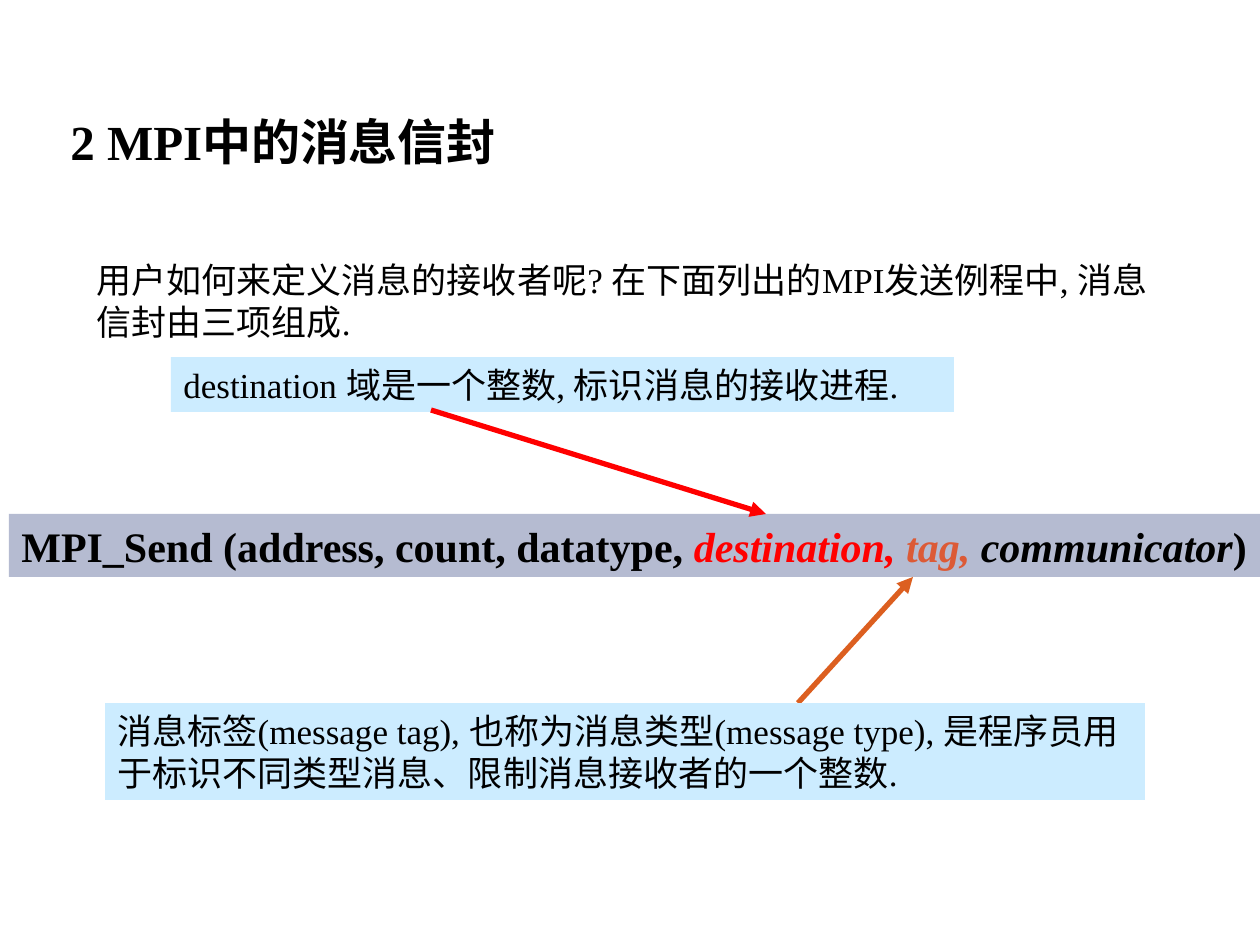
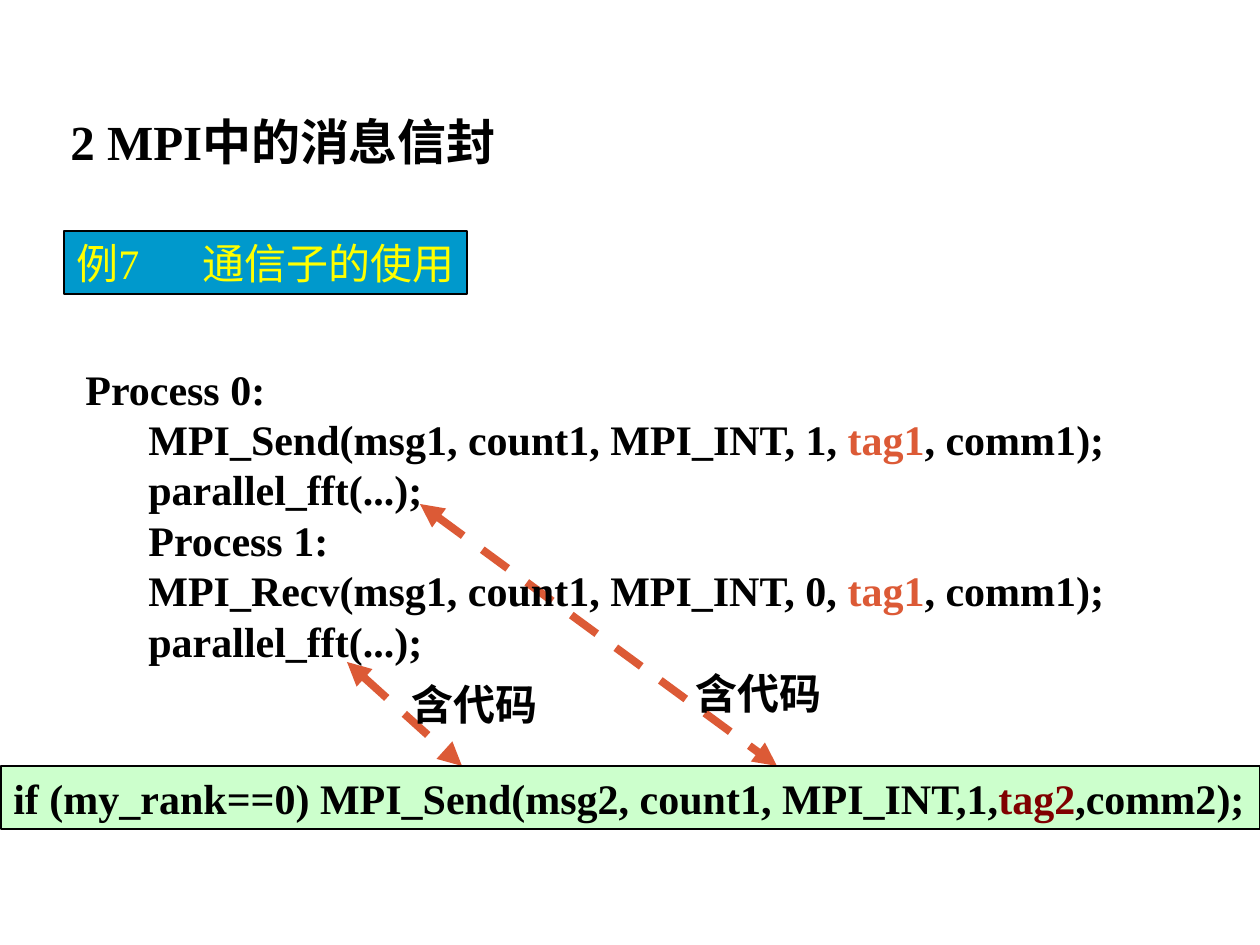
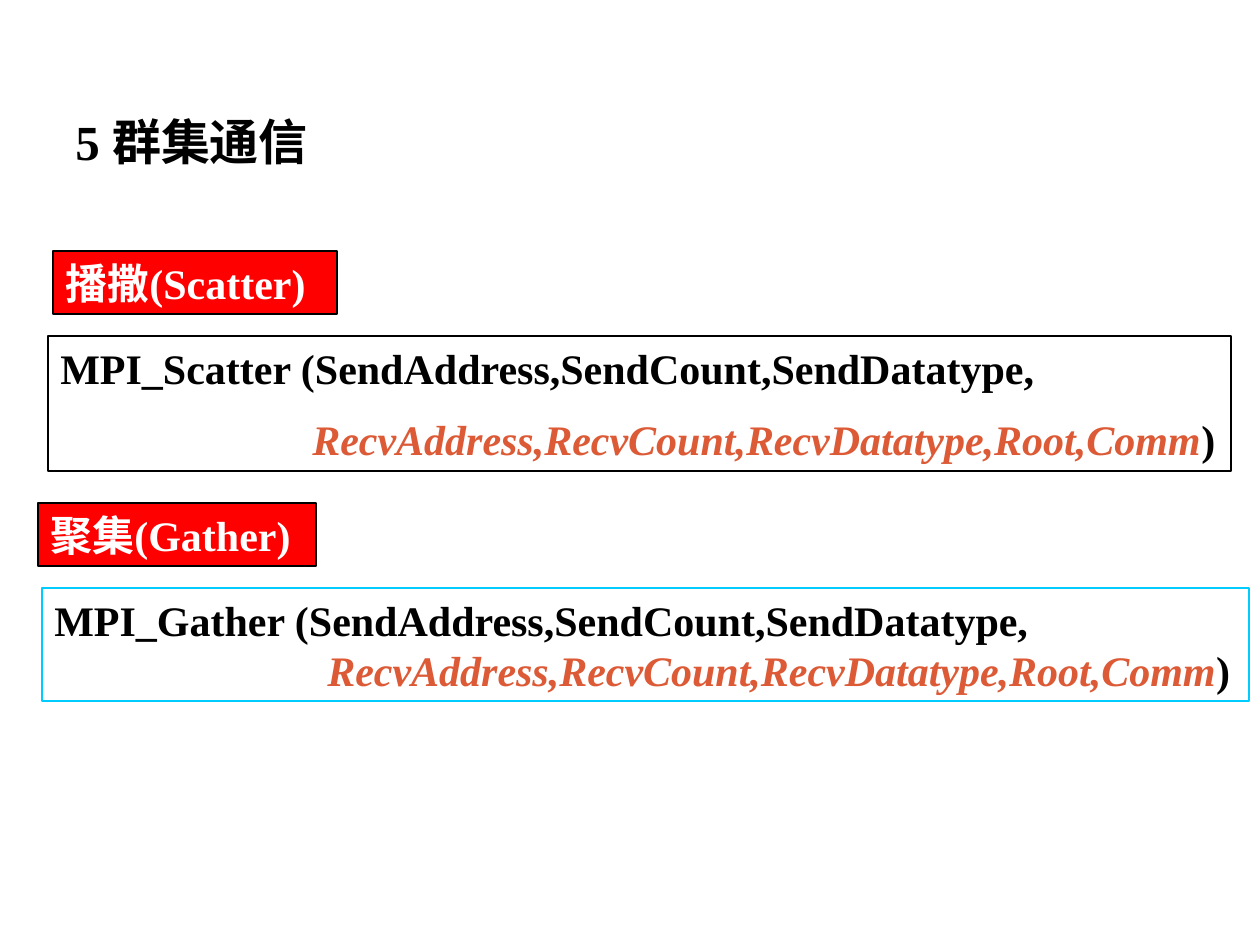
import dataclasses

import pptx
import pptx.dml.color
import pptx.enum.dml
import pptx.enum.shapes
import pptx.enum.text
import pptx.oxml.ns
import pptx.util
from lxml import etree

PX = 914400 / 126


@dataclasses.dataclass(frozen=True)
class Theme:
    font: str = "Times New Roman"
    black: str = "000000"
    white: str = "FFFFFF"
    red: str = "FF0000"
    yellow: str = "FFFF00"
    maroon: str = "800000"
    accent: str = "DC5A36"
    orange: str = "DC5F20"
    note: str = "CCECFF"
    band: str = "B5BBD1"
    example: str = "0099CC"
    code_band: str = "CCFFCC"
    cyan: str = "00CCFF"
    title: int = 28
    code: int = 24
    body: int = 20
    border: float = 0.75
    arrow: float = 3
    dashed: float = 4.5


T = Theme()
TITLE = {"size": T.title, "bold": True}
CODE = {"size": T.code, "bold": True}
BODY = {"size": T.body}
ENVELOPE_TITLE = "2 MPI中的消息信封"


def emu(*lengths):
    return [pptx.util.Emu(round(n * PX)) for n in lengths]


def rgb(value):
    return pptx.dml.color.RGBColor.from_string(value)


def add_run(p, text, **fmt):
    r = p.add_run()
    r.text = text
    r.font.color.rgb = rgb(fmt.pop("color", T.black))
    fmt["size"] = pptx.util.Pt(fmt["size"])
    for name, value in {"name": T.font, **fmt}.items():
        setattr(r.font, name, value)


def add_text(s, box, lines, style, fill=None, line=None, wrap=False, gap=0, indent=0):
    if fill:
        sp = s.shapes.add_shape(pptx.enum.shapes.MSO_SHAPE.RECTANGLE, *emu(*box))
        sp.shadow.inherit = False
        sp.fill.solid()
        sp.fill.fore_color.rgb = rgb(fill)
        if line:
            sp.line.color.rgb = rgb(line)
            sp.line.width = pptx.util.Pt(T.border)
        else:
            sp.line.fill.background()
    else:
        sp = s.shapes.add_textbox(*emu(*box))
    tf = sp.text_frame
    frame = {
        "word_wrap": wrap,
        "auto_size": pptx.enum.text.MSO_AUTO_SIZE.SHAPE_TO_FIT_TEXT,
        "vertical_anchor": pptx.enum.text.MSO_ANCHOR.TOP,
    }
    for name, value in frame.items():
        setattr(tf, name, value)
    for i, runs in enumerate(lines):
        p = tf.add_paragraph() if i else tf.paragraphs[0]
        p.alignment = pptx.enum.text.PP_ALIGN.LEFT
        if i and gap:
            p.space_before = pptx.util.Pt(gap)
        if i and indent:
            p._p.get_or_add_pPr().set("marL", str(emu(indent)[0]))
        for text, fmt in runs:
            add_run(p, text, **{**style, **fmt})


def add_arrow(s, start, end, color, width, double_dashed=False):
    c = s.shapes.add_connector(
        pptx.enum.shapes.MSO_CONNECTOR.STRAIGHT, *emu(*start, *end)
    )
    c.line.color.rgb = rgb(color)
    c.line.width = pptx.util.Pt(width)
    if double_dashed:
        c.line.dash_style = pptx.enum.dml.MSO_LINE.DASH
    qn = pptx.oxml.ns.qn
    ln = c.line._get_or_add_ln()
    for tag in ("a:headEnd", "a:tailEnd") if double_dashed else ("a:tailEnd",):
        etree.SubElement(ln, qn(tag), type="triangle")
    etree.SubElement(c._element.spPr, qn("a:effectLst"))


def add_title(s, box, text):
    add_text(s, box, [[(text, {})]], TITLE)


def envelope_diagram(s, box):
    x, y, w, h = box
    send = [
        ("MPI_Send (address, count, datatype, ", {}),
        ("destination,", {"color": T.red, "italic": True}),
        (" tag,", {"color": T.accent, "italic": True}),
        (" communicator", {"italic": True}),
        (")", {}),
    ]
    destination = "destination 域是一个整数, 标识消息的接收进程."
    tag = (
        "消息标签(message tag), 也称为消息类型(message type), "
        "是程序员用于标识不同类型消息、限制消息接收者的一个整数."
    )
    add_text(s, (x, y + 157, w, 63), [send], CODE, T.band)
    add_text(s, (x + 162, y, 783, 55), [[(destination, {})]], BODY, T.note)
    add_arrow(s, (x + 789, y + 346), (x + 904, y + 220), T.orange, T.arrow)
    add_text(s, (x + 96, y + 346, 1040, 97), [[(tag, {})]], BODY, T.note, wrap=True)
    add_arrow(s, (x + 422, y + 53), (x + 757, y + 157), T.red, T.arrow)


def process_listing(s, box):
    def call(name, rank):
        return [
            (f"{name}(msg1, count1, MPI_INT, {rank}, ", {}),
            ("tag1", {"color": T.accent}),
            (", comm1);", {}),
        ]

    fft = [("parallel_fft(...);", {})]
    lines = [
        [("Process 0:", {})],
        call("MPI_Send", 1),
        fft,
        [("Process 1:", {})],
        call("MPI_Recv", 0),
        fft,
    ]
    add_text(s, box, lines, CODE, wrap=True, indent=63)


def library_code(s, box):
    x, y, w, h = box
    line = [
        ("if (my_rank==0) MPI_Send(msg2, count1, MPI_INT,1,", {}),
        ("tag2", {"color": T.maroon}),
        (",comm2);", {}),
    ]
    add_text(s, box, [line], CODE, T.code_band, T.black)
    for dx, dy in ((682, -105), (398, -94)):
        add_text(s, (x + dx, y + dy, 151, 63), [[("含代码", {})]], CODE)


def collective_call(s, box, label, name, code, border, spaces, gap=0):
    x, y, w, h = box
    dx, code_w, code_h = code
    lines = [
        [(f"{name} (SendAddress,SendCount,SendDatatype,", {})],
        [
            (" " * spaces, {}),
            ("RecvAddress,RecvCount,RecvDatatype,Root,Comm",
             {"color": T.accent, "italic": True}),
            (")", {}),
        ],
    ]
    add_text(s, box, [[(label, {"color": T.white})]], CODE, T.red, T.black, wrap=True)
    add_text(s, (x + dx, y + 85, code_w, code_h), lines, CODE, T.white, border,
             wrap=True, gap=gap)


def envelope_slide(s):
    intro = "用户如何来定义消息的接收者呢? 在下面列出的MPI发送例程中, 消息信封由三项组成."
    add_text(s, (84, 252, 1092, 97), [[(intro, {})]], BODY, wrap=True)
    envelope_diagram(s, (9, 357, 1251, 443))
    add_title(s, (58, 105, 462, 72), ENVELOPE_TITLE)


def communicator_slide(s):
    add_text(s, (64, 231, 403, 63), [[("例7\t通信子的使用", {"color": T.yellow})]],
             {"size": T.code}, T.example, T.black)
    for start, end in (((420, 504), (777, 766)), ((347, 662), (462, 766))):
        add_arrow(s, start, end, T.accent, T.dashed, double_dashed=True)
    add_title(s, (58, 105, 462, 72), ENVELOPE_TITLE)
    process_listing(s, (73, 357, 1113, 315))
    library_code(s, (1, 766, 1259, 63))


def collective_slide(s):
    add_title(s, (63, 105, 284, 72), "5 群集通信")
    collective_call(s, (53, 251, 284, 63), "播撒(Scatter)", "MPI_Scatter",
                    (-5, 1183, 135), T.black, 24, gap=12)
    collective_call(s, (38, 503, 278, 63), "聚集(Gather)", "MPI_Gather",
                    (4, 1207, 113), T.cyan, 26)


def main():
    prs = pptx.Presentation()
    prs.slide_width, prs.slide_height = emu(1260, 945)
    for build in (envelope_slide, communicator_slide, collective_slide):
        build(prs.slides.add_slide(prs.slide_layouts[6]))
    prs.save("out.pptx")


if __name__ == "__main__":
    main()
